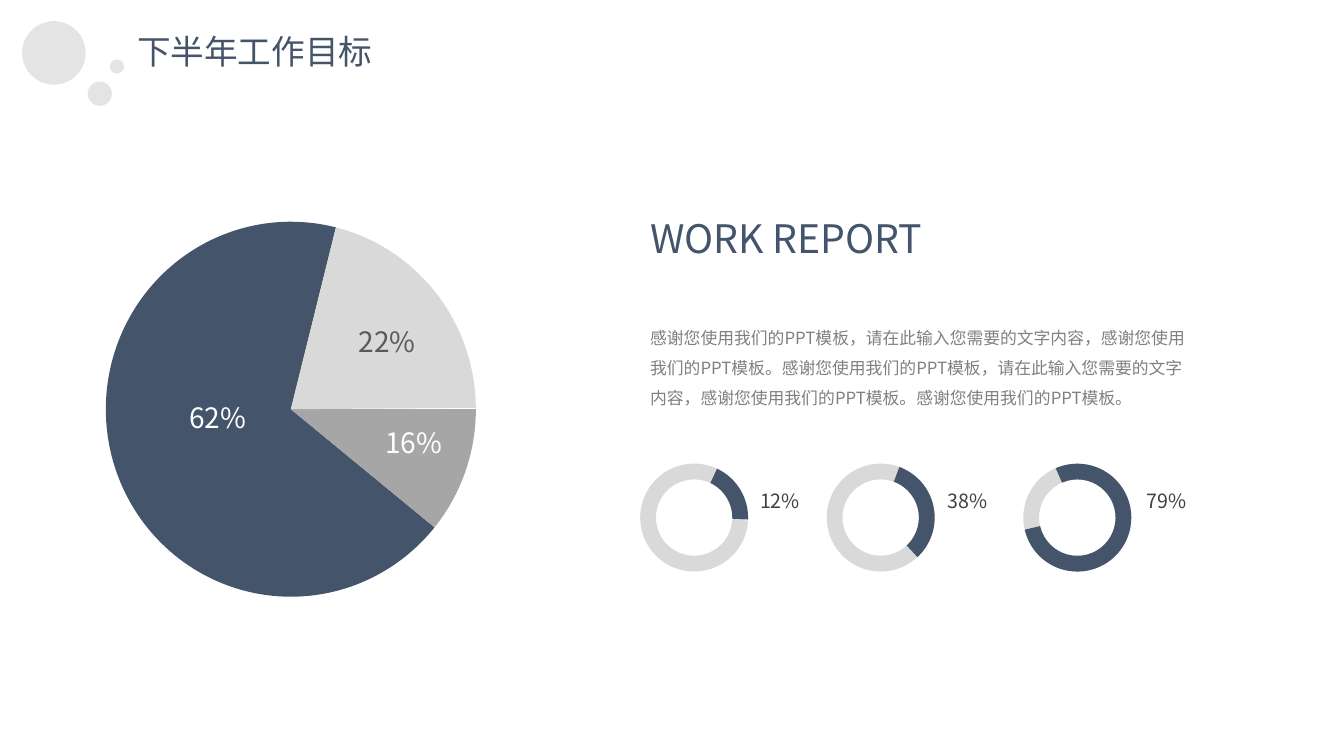
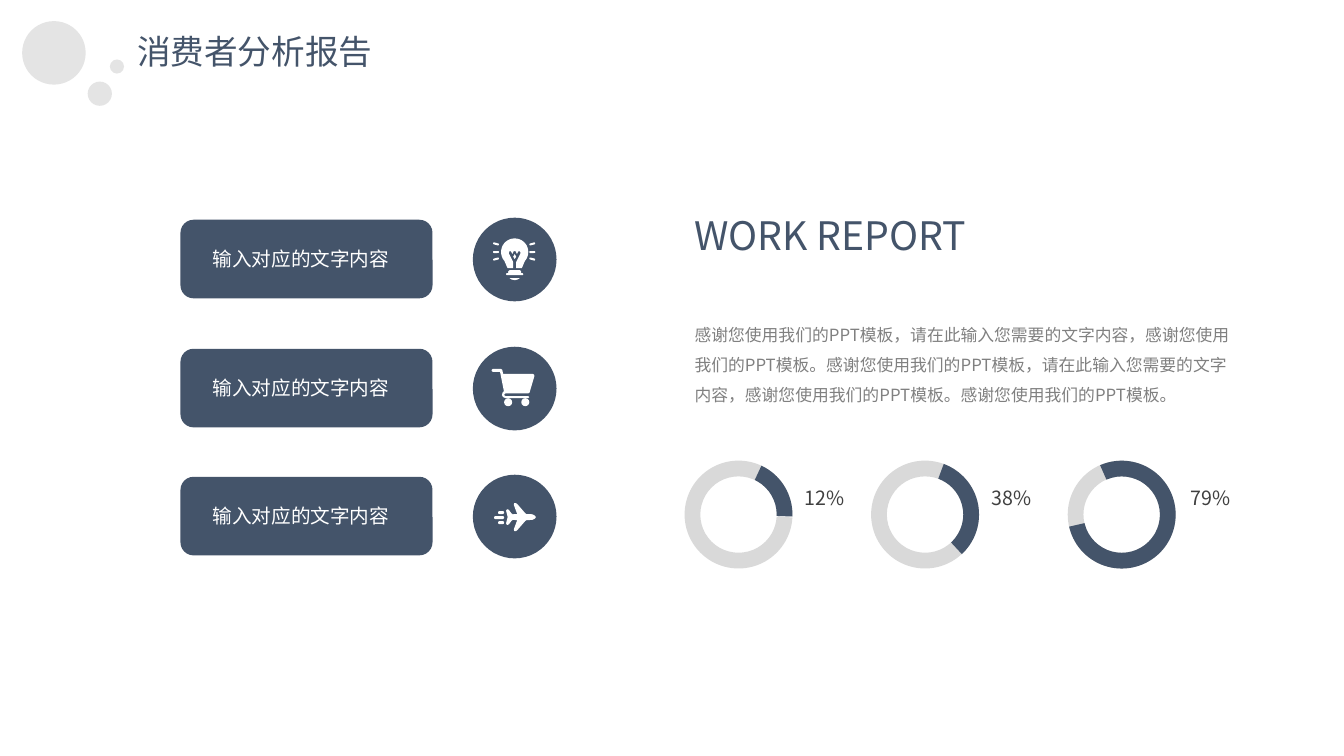
import dataclasses
import math

import lxml.etree
import pptx
import pptx.dml.color
import pptx.enum.shapes
import pptx.enum.text
import pptx.oxml.ns
import pptx.util


@dataclasses.dataclass(frozen=True)
class Theme:
    font: str = "Noto Sans CJK SC"
    navy: str = "44546A"
    grey: str = "A6A6A6"
    light: str = "D9D9D9"
    white: str = "FFFFFF"
    body: str = "808080"
    label: str = "404040"
    dark: str = "595959"
    heading_size: int = 28
    title_size: int = 24
    share_size: int = 20
    label_size: int = 14
    body_size: int = 12


theme = Theme()
Inches = pptx.util.Inches
SHAPE = pptx.enum.shapes.MSO_SHAPE
FIT = pptx.enum.text.MSO_AUTO_SIZE
ANCHOR = pptx.enum.text.MSO_ANCHOR
DEGREE = 0.6


def add_shape(s, kind, box, color, rotation=0, adjustments=()):
    sp = s.shapes.add_shape(kind, *map(Inches, box))
    sp.shadow.inherit = False
    sp.fill.solid()
    sp.fill.fore_color.rgb = pptx.dml.color.RGBColor.from_string(color)
    sp.line.fill.background()
    sp.rotation = rotation
    for i, value in enumerate(adjustments):
        sp.adjustments[i] = value
    return sp


def write(sp, text, size, color, wrap=False, fit=FIT.SHAPE_TO_FIT_TEXT, anchor=ANCHOR.TOP):
    tf = sp.text_frame
    tf.text = text
    tf.word_wrap = wrap
    tf.auto_size = fit
    tf.vertical_anchor = anchor
    p = tf.paragraphs[0]
    p.alignment = pptx.enum.text.PP_ALIGN.LEFT
    p.font.size = pptx.util.Pt(size)
    p.font.color.rgb = pptx.dml.color.RGBColor.from_string(color)
    p.font.name = theme.font
    ea = lxml.etree.SubElement(p.font._element, pptx.oxml.ns.qn("a:ea"))
    ea.set("typeface", theme.font)
    return p


prs = pptx.Presentation()
prs.slide_width = Inches(13.33)
prs.slide_height = Inches(7.5)
layout = prs.slide_layouts[5]

BODY = (
    "感谢您使用我们的PPT模板，请在此输入您需要的文字内容，感谢您使用我们的PPT模板。"
    "感谢您使用我们的PPT模板，请在此输入您需要的文字内容，感谢您使用我们的PPT模板。"
    "感谢您使用我们的PPT模板。"
)
RINGS = [
    ("12%", 0, 1.09, 295.16, 0),
    ("38%", 1.85, 2.95, 245.21, 45),
    ("79%", 3.8, 4.92, 81.4, 165),
]
RING_END, RING_WIDTH, RING_SIZE = 2.1, 0.146, 1.07

slides = []
for title, left, top in [("下半年工作目标", 6.35, 2.08), ("消费者分析报告", 6.79, 2.05)]:
    s = prs.slides.add_slide(layout)
    slides.append(s)
    sp = s.shapes.title
    sp.left, sp.top, sp.width, sp.height = map(Inches, (1.26, 0.26, 2.56, 0.5))
    write(sp, title, theme.title_size, theme.navy)

    sp = s.shapes.add_textbox(*map(Inches, (left, top, 3.05, 0.57)))
    write(sp, "WORK REPORT", theme.heading_size, theme.navy)
    sp = s.shapes.add_textbox(*map(Inches, (left, top + 1.02, 5.51, 1.01)))
    write(sp, BODY, theme.body_size, theme.body, wrap=True).line_spacing = 1.5

    for text, ring_x, label_x, start, rotation in RINGS:
        box = (left + ring_x, top + 2.52, RING_SIZE, RING_SIZE)
        for color, angle, turn in [(theme.light, 3.05, 0), (theme.navy, start, rotation)]:
            add_shape(s, SHAPE.BLOCK_ARC, box, color, turn,
                      (angle * DEGREE, RING_END * DEGREE, RING_WIDTH))
        sp = s.shapes.add_textbox(*map(Inches, (left + label_x, top + 2.72, 0.61, 0.34)))
        write(sp, text, theme.label_size, theme.label)

goals, consumers = slides

for x, y, size in [(0.22, 0.21, 0.63), (0.87, 0.81, 0.24), (1.09, 0.59, 0.14)]:
    sp = add_shape(goals, SHAPE.FLOWCHART_CONNECTOR, (x, y, size, size), theme.light)
    color = sp._element.spPr.find(".//" + pptx.oxml.ns.qn("a:srgbClr"))
    lxml.etree.SubElement(color, pptx.oxml.ns.qn("a:alpha")).set("val", "70000")
    layout.shapes.element.append(sp._element)

SECTORS = [
    ("62%", 39.44, 283.93, theme.navy, theme.white, 1.78, 3.92),
    ("16%", 0, 39.4, theme.grey, theme.white, 3.72, 4.17),
    ("22%", 283.92, 359.54, theme.light, theme.dark, 3.46, 3.17),
]
for text, start, end, fill, color, x, y in SECTORS:
    add_shape(goals, SHAPE.PIE, (1.05, 2.2, 3.67, 3.72), fill, 0, (start * DEGREE, end * DEGREE))
    sp = goals.shapes.add_textbox(*map(Inches, (x, y, 0.78, 0.44)))
    write(sp, text, theme.share_size, color)

bulb_half = [
    (415 + 135 * math.sin(math.radians(a)), 340 - 135 * math.cos(math.radians(a)))
    for a in range(0, 131, 10)
] + [
    (505, 455), (495, 480), (485, 500), (430, 500), (430, 440), (472, 355),
    (470, 335), (452, 332), (438, 360), (424, 332),
]
bulb = bulb_half + [(830 - x, y) for x, y in reversed(bulb_half)]
filament = [(415, 360), (430, 387), (415, 410), (400, 387)]
bulb_tip = [(365, 600), (465, 600), (445, 613), (415, 620), (385, 613)]
bulb_bars = [(0.35, 0.52, 0.13, 0.04, 0), (0.33, 0.55, 0.17, 0.02, 0)]
for y, tilt in [(0.25, -15), (0.33, 0), (0.4, 15)]:
    bulb_bars += [(0.2, y, 0.06, 0.02, -tilt), (0.56, y, 0.06, 0.02, tilt)]

cart = [
    (198, 220), (280, 220), (292, 230), (300, 270), (595, 270), (608, 277), (610, 292),
    (562, 455), (550, 462), (325, 462), (312, 470), (312, 482), (325, 490), (550, 490),
    (560, 500), (550, 510), (325, 510), (300, 500), (288, 480), (295, 455), (308, 440),
    (270, 250), (198, 250), (186, 240), (186, 230),
]
wheels = [(x, 0.51, 0.08, 0.08, 0) for x in (0.31, 0.48)]

plane_half = [
    (625, 420), (615, 405), (590, 392), (532, 390), (520, 382), (440, 290), (425, 280),
    (410, 282), (406, 298), (440, 390), (396, 392), (382, 382), (358, 350), (345, 342),
    (332, 348), (330, 360), (345, 420),
]
plane = plane_half + [(x, 840 - y) for x, y in reversed(plane_half)]
streaks = [(0.25, 0.36, 0.06, 0.03, 0), (0.21, 0.41, 0.1, 0.03, 0), (0.25, 0.46, 0.06, 0.03, 0)]

ROWS = [
    (2.16, [bulb, filament, bulb_tip], bulb_bars),
    (3.44, [cart], wheels),
    (4.71, [plane], streaks),
]
icon_x = 4.69
for top, outlines, pills in ROWS:
    sp = add_shape(consumers, SHAPE.ROUNDED_RECTANGLE, (1.79, top + 0.02, 2.5, 0.78), theme.navy)
    sp.text_frame.margin_left = Inches(0.28)
    write(sp, "输入对应的文字内容", theme.label_size, theme.white,
          fit=FIT.NONE, anchor=ANCHOR.MIDDLE)
    add_shape(consumers, SHAPE.OVAL, (icon_x, top, 0.83, 0.83), theme.navy)
    for points in outlines:
        builder = consumers.shapes.build_freeform(*points[0], scale=Inches(1) / 1000)
        builder.add_line_segments(points[1:], close=True)
        sp = builder.convert_to_shape(Inches(icon_x), Inches(top))
        sp.shadow.inherit = False
        sp.fill.solid()
        sp.fill.fore_color.rgb = pptx.dml.color.RGBColor.from_string(theme.white)
        sp.line.fill.background()
    for x, y, width, height, rotation in pills:
        add_shape(consumers, SHAPE.ROUNDED_RECTANGLE, (icon_x + x, top + y, width, height),
                  theme.white, rotation, (0.5,))

prs.save("out.pptx")
